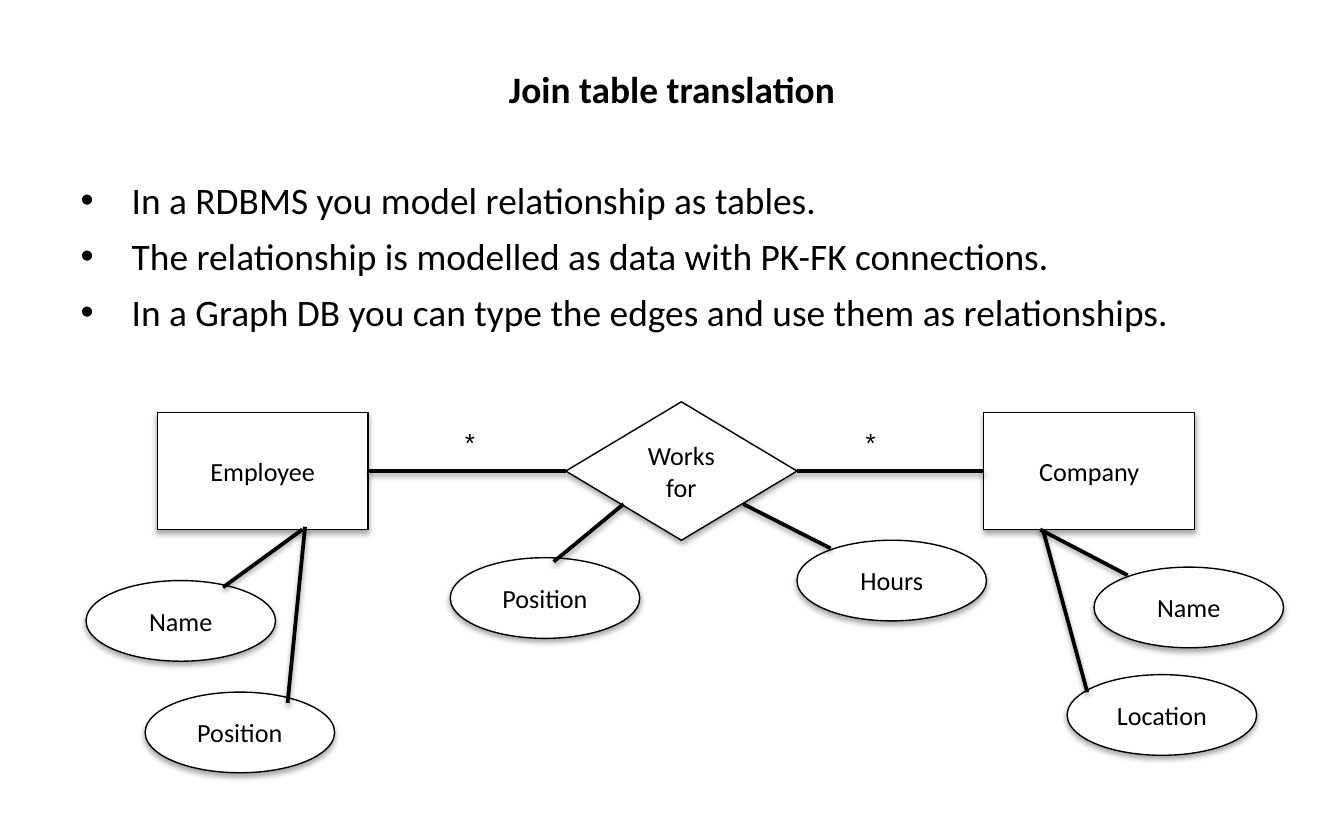
from lxml.etree import SubElement
from pptx import Presentation
from pptx.dml.color import RGBColor
from pptx.enum.shapes import MSO_CONNECTOR as CONN, MSO_SHAPE as SHAPE
from pptx.enum.text import MSO_ANCHOR as ANCHOR, MSO_AUTO_SIZE as AUTO, PP_ALIGN as ALIGN
from pptx.oxml.ns import qn
from pptx.util import Inches, Pt

BLACK = RGBColor(0x00, 0x00, 0x00)
WHITE = RGBColor(0xFF, 0xFF, 0xFF)

BULLETS = [
    "In a RDBMS you model relationship as tables.",
    "The relationship is modelled as data with PK-FK connections.",
    "In a Graph DB you can type the edges and use them as relationships.",
]
ENTITY_SIZE = (1.57, 0.87)
RELATION_SIZE = (1.72, 1.03)
ATTRIBUTE_SIZE = (1.41, 0.6)

# label, left, top of the ellipse, then the line from its owner to it
ATTRIBUTES = [
    ("Hours", 5.93, 4.02, (5.53, 3.75, 6.18, 4.08)),
    ("Position", 3.35, 4.15, (4.64, 3.75, 4.12, 4.18)),
    ("Name", 0.64, 4.32, (2.25, 3.94, 1.66, 4.37)),
    ("Name", 8.14, 4.22, (7.74, 3.94, 8.39, 4.28)),
    ("Location", 7.94, 5.02, (7.76, 3.94, 8.09, 5.15)),
    ("Position", 1.08, 5.15, (2.27, 3.92, 2.14, 5.23)),
]


def set_font(p, size, name="Calibri", bold=False):
    p.font.size = Pt(size)
    p.font.name = name
    p.font.bold = bold
    p.font.color.rgb = BLACK


def set_margins(tf, inches):
    tf.margin_left = tf.margin_right = tf.margin_top = tf.margin_bottom = Inches(inches)


def add_shadow(sp, distance, opacity):
    """Add a soft shadow straight below; call it once fill and line are set."""
    effects = SubElement(sp._element.spPr, qn("a:effectLst"))
    shadow = SubElement(effects, qn("a:outerShdw"), blurRad=str(Pt(3)),
                        dist=str(Pt(distance)), dir="5400000", rotWithShape="0")
    color = SubElement(shadow, qn("a:srgbClr"), val=str(BLACK))
    SubElement(color, qn("a:alpha"), val=str(opacity * 1000))


def place_placeholder(sp, left, top, width, height):
    sp.left, sp.top, sp.width, sp.height = map(Inches, (left, top, width, height))
    tf = sp.text_frame
    tf.auto_size = AUTO.NONE
    tf.vertical_anchor = ANCHOR.TOP
    set_margins(tf, 0.1)
    return tf


def add_title(s, text):
    tf = place_placeholder(s.shapes.title, 0.5, 0.39, 9, 0.6)
    tf.text = text
    p = tf.paragraphs[0]
    p.alignment = ALIGN.CENTER
    set_font(p, 20, bold=True)


def add_bullets(s, items):
    tf = place_placeholder(s.placeholders[1], 0.5, 1.22, 9, 1.5)
    tf.text = "\n".join(items)
    for p in tf.paragraphs:
        p.space_before = Pt(6)
        set_font(p, 20)
        pPr = p._p.get_or_add_pPr()
        pPr.set("marL", str(Inches(0.38)))
        pPr.set("indent", str(Inches(-0.38)))


def add_node(s, kind, text, left, top, size):
    sp = s.shapes.add_shape(kind, *map(Inches, (left, top, *size)))
    sp.fill.solid()
    sp.fill.fore_color.rgb = WHITE
    sp.line.color.rgb = BLACK
    sp.line.width = Pt(0.75)
    add_shadow(sp, 1.8, 35)
    tf = sp.text_frame
    tf.word_wrap = True
    tf.vertical_anchor = ANCHOR.MIDDLE
    set_margins(tf, 0.05)
    tf.text = text
    p = tf.paragraphs[0]
    p.alignment = ALIGN.CENTER
    set_font(p, 14)
    return sp


def add_line(s, x1, y1, x2, y2):
    line = s.shapes.add_connector(CONN.STRAIGHT, *map(Inches, (x1, y1, x2, y2)))
    line.line.color.rgb = BLACK
    line.line.width = Pt(2)
    add_shadow(line, 1.6, 38)
    return line


def join_sides(s, left_node, right_node):
    line = add_line(s, 0, 0, 1, 1)
    line.begin_connect(left_node, 3)
    line.end_connect(right_node, 1)


def add_cardinality(s, left, top):
    tf = s.shapes.add_textbox(*map(Inches, (left, top, 0.34, 0.32))).text_frame
    tf.word_wrap = True
    set_margins(tf, 0.05)
    tf.text = "*"
    set_font(tf.paragraphs[0], 14, "Arial")


def main():
    prs = Presentation()
    prs.slide_width, prs.slide_height = Inches(10), Inches(6.25)
    s = prs.slides.add_slide(prs.slide_layouts[1])

    add_title(s, "Join table translation")
    add_bullets(s, BULLETS)

    works_for = add_node(s, SHAPE.DIAMOND, "Works for", 4.21, 2.99, RELATION_SIZE)
    employee = add_node(s, SHAPE.RECTANGLE, "Employee", 1.17, 3.07, ENTITY_SIZE)
    company = add_node(s, SHAPE.RECTANGLE, "Company", 7.32, 3.07, ENTITY_SIZE)
    join_sides(s, employee, works_for)
    join_sides(s, works_for, company)
    for left in (3.41, 6.39):
        add_cardinality(s, left, 3.12)

    for label, left, top, ends in ATTRIBUTES:
        add_node(s, SHAPE.OVAL, label, left, top, ATTRIBUTE_SIZE)
        add_line(s, *ends)

    prs.save("out.pptx")


if __name__ == "__main__":
    main()
